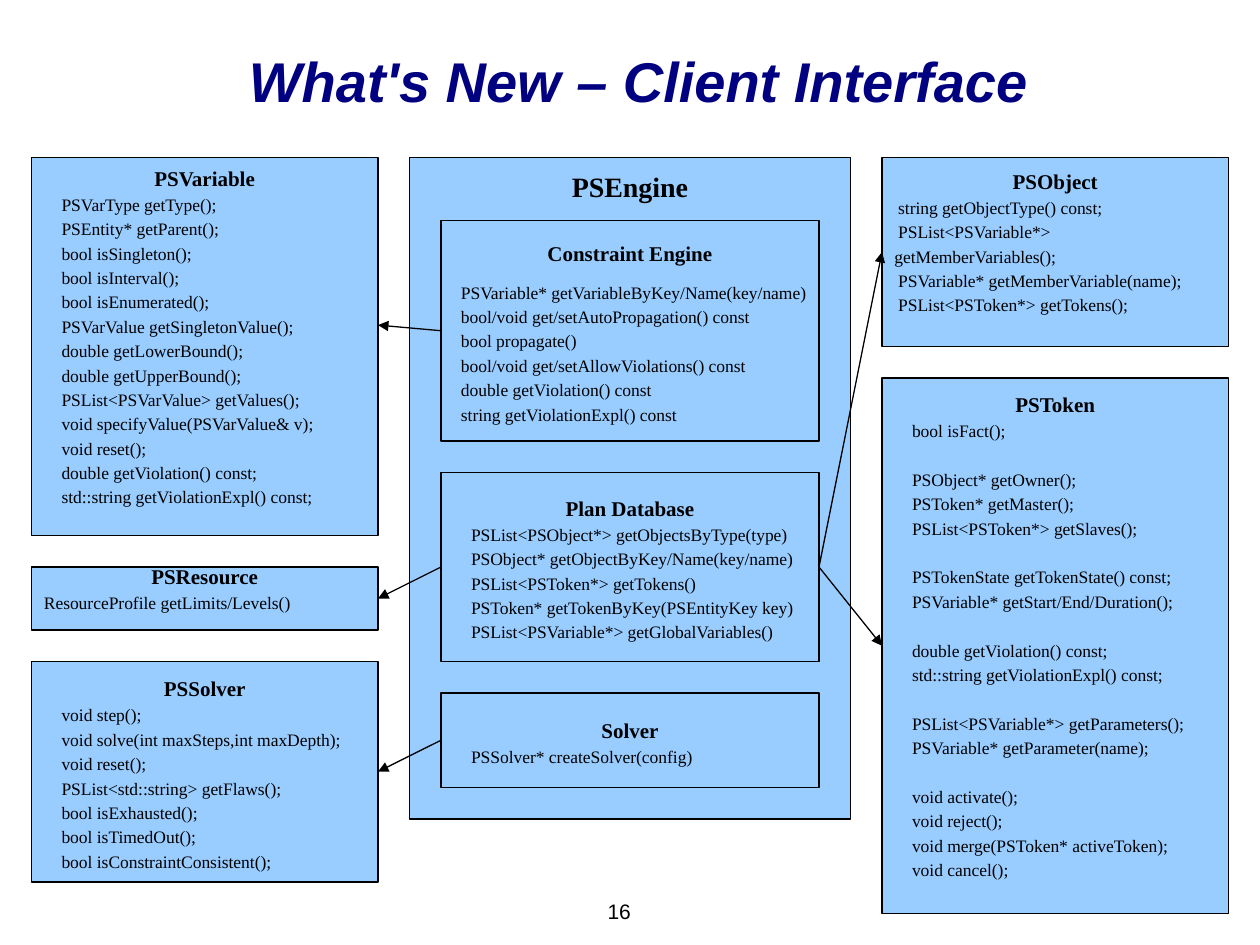
from dataclasses import dataclass

from lxml.etree import SubElement
from pptx import Presentation
from pptx.dml.color import RGBColor
from pptx.enum.shapes import MSO_CONNECTOR, MSO_SHAPE
from pptx.enum.text import MSO_ANCHOR, PP_ALIGN
from pptx.oxml.ns import qn
from pptx.shapes.autoshape import Shape
from pptx.slide import Slide
from pptx.util import Pt

EMU_PER_PX = 9144  # 100 px to the inch
COLORS = {"title": "000080", "box": "99CCFF", "ink": "000000"}
SERIF, SANS = "Times New Roman", "Arial"
LINE_SPACING = 1.16
BLANK_LINE = Pt(14)
LEFT, RIGHT = 1, 3  # connection sites


def px(length: int) -> int:
    return length * EMU_PER_PX


def rgb(name: str) -> RGBColor:
    return RGBColor.from_string(COLORS[name])


@dataclass(frozen=True)
class Panel:
    """A box with a heading and methods; an empty method opens a gap."""
    heading: str
    left: int
    top: int
    width: int
    height: int
    methods: tuple[str, ...] = ()
    indent: int = 14
    bottom_space: int = 5
    heading_gap: int = 0
    heading_size: int = 12
    anchor: MSO_ANCHOR = MSO_ANCHOR.MIDDLE


@dataclass(frozen=True)
class Arrow:
    """Runs between side middles, or to end_point where that is given."""
    start: str
    start_site: int
    end: str = ""
    end_site: int = RIGHT
    end_point: tuple[int, int] = (0, 0)


PANELS = (
    Panel("PSEngine", 325, 125, 350, 525, heading_size=16, anchor=MSO_ANCHOR.TOP),
    Panel("Constraint Engine", 350, 175, 300, 175, (
        "PSVariable* getVariableByKey/Name(key/name)",
        "bool/void get/setAutoPropagation() const",
        "bool propagate()",
        "bool/void get/setAllowViolations() const",
        "double getViolation() const",
        "string getViolationExpl() const",
    ), indent=6, heading_gap=7),
    Panel("Plan Database", 350, 375, 300, 150, (
        "PSList<PSObject*> getObjectsByType(type)",
        "PSObject* getObjectByKey/Name(key/name)",
        "PSList<PSToken*> getTokens()",
        "PSToken* getTokenByKey(PSEntityKey key)",
        "PSList<PSVariable*> getGlobalVariables()",
    )),
    Panel("Solver", 350, 550, 300, 75, ("PSSolver* createSolver(config)",)),
    Panel("PSVariable", 25, 125, 275, 300, (
        "PSVarType getType();",
        "PSEntity* getParent();",
        "bool isSingleton();",
        "bool isInterval();",
        "bool isEnumerated();",
        "PSVarValue getSingletonValue();",
        "double getLowerBound();",
        "double getUpperBound();",
        "PSList<PSVarValue> getValues();",
        "void specifyValue(PSVarValue& v);",
        "void reset();",
        "double getViolation() const;",
        "std::string getViolationExpl() const;",
    ), bottom_space=24),
    Panel("PSObject", 700, 125, 275, 150, (
        "string getObjectType() const;",
        "PSList<PSVariable*> getMemberVariables();",
        "PSVariable* getMemberVariable(name);",
        "PSList<PSToken*> getTokens();",
    ), indent=3, bottom_space=24),
    Panel("PSToken", 700, 300, 275, 425, (
        "bool isFact();",
        "",
        "PSObject* getOwner();",
        "PSToken* getMaster();",
        "PSList<PSToken*> getSlaves();",
        "",
        "PSTokenState getTokenState() const;",
        "PSVariable* getStart/End/Duration();",
        "",
        "double getViolation() const;",
        "std::string getViolationExpl() const;",
        "",
        "PSList<PSVariable*> getParameters();",
        "PSVariable* getParameter(name);",
        "",
        "void activate();",
        "void reject();",
        "void merge(PSToken* activeToken);",
        "void cancel();",
    ), bottom_space=24),
    Panel("PSResource", 25, 450, 275, 50, ("ResourceProfile getLimits/Levels()",),
          indent=0, bottom_space=24),
    Panel("PSSolver", 25, 525, 275, 175, (
        "void step();",
        "void solve(int maxSteps,int maxDepth);",
        "void reset();",
        "PSList<std::string> getFlaws();",
        "bool isExhausted();",
        "bool isTimedOut();",
        "bool isConstraintConsistent();",
    )),
)

ARROWS = (
    Arrow("Plan Database", RIGHT, "PSObject", LEFT),
    Arrow("Plan Database", RIGHT, "PSToken", LEFT),
    Arrow("Constraint Engine", LEFT, end_point=(300, 258)),
    Arrow("Solver", LEFT, "PSSolver"),
    Arrow("Plan Database", LEFT, "PSResource"),
)


def format_paragraph(paragraph, name: str, size: int, color: str = "ink",
                     bold: bool = False, align: PP_ALIGN = PP_ALIGN.CENTER) -> None:
    paragraph.alignment = align
    font = paragraph.font
    font.name, font.size, font.bold = name, Pt(size), bold
    font.color.rgb = rgb(color)


def add_title(slide: Slide, text: str) -> None:
    title = slide.shapes.title
    title.left, title.top, title.width, title.height = map(px, (115, 6, 784, 102))
    frame = title.text_frame
    frame.text = text
    frame.vertical_anchor = MSO_ANCHOR.MIDDLE
    frame.margin_left = frame.margin_top = frame.margin_right = frame.margin_bottom = 0
    paragraph = frame.paragraphs[0]
    format_paragraph(paragraph, SANS, 32, "title", bold=True)
    paragraph.font.italic = True
    paragraph.line_spacing = 1.24


def add_page_number(slide: Slide, text: str) -> None:
    box = slide.shapes.add_textbox(*map(px, (450, 708, 83, 50)))
    box.text_frame.word_wrap = True
    box.text_frame.text = text
    format_paragraph(box.text_frame.paragraphs[0], SANS, 12)


def add_panel(slide: Slide, panel: Panel) -> Shape:
    shape = slide.shapes.add_shape(
        MSO_SHAPE.RECTANGLE, *map(px, (panel.left, panel.top, panel.width, panel.height)))
    shape.shadow.inherit = False
    shape.fill.solid()
    shape.fill.fore_color.rgb = rgb("box")
    shape.line.color.rgb = rgb("ink")
    shape.line.width = Pt(0.75)
    frame = shape.text_frame
    frame.word_wrap = True
    frame.vertical_anchor = panel.anchor
    frame.margin_bottom = px(panel.bottom_space)

    heading = frame.paragraphs[0]
    heading.text = panel.heading
    heading.line_spacing = LINE_SPACING
    heading.space_after = Pt(panel.heading_gap)
    format_paragraph(heading, SERIF, panel.heading_size, bold=True)
    gap = Pt(0)
    for method in panel.methods:
        if not method:
            gap = BLANK_LINE
            continue
        paragraph = frame.add_paragraph()
        paragraph.text = method
        paragraph.line_spacing = LINE_SPACING
        paragraph.space_before = gap
        format_paragraph(paragraph, SERIF, 10, align=PP_ALIGN.LEFT)
        paragraph._p.get_or_add_pPr().set("indent", str(px(panel.indent)))
        gap = Pt(0)
    return shape


def add_arrow(slide: Slide, arrow: Arrow, boxes: dict[str, Shape]) -> None:
    connector = slide.shapes.add_connector(
        MSO_CONNECTOR.STRAIGHT, 0, 0, *map(px, arrow.end_point))
    connector.begin_connect(boxes[arrow.start], arrow.start_site)
    if arrow.end:
        connector.end_connect(boxes[arrow.end], arrow.end_site)
    connector.line.color.rgb = rgb("ink")
    connector.line.width = Pt(0.75)
    SubElement(connector.line._get_or_add_ln(), qn("a:tailEnd"), type="triangle")
    SubElement(connector._element.spPr, qn("a:effectLst"))


def main() -> None:
    presentation = Presentation()
    presentation.slide_width, presentation.slide_height = px(1000), px(750)
    slide = presentation.slides.add_slide(presentation.slide_layouts[5])
    add_page_number(slide, "16")
    add_title(slide, "What's New – Client Interface")
    boxes = {panel.heading: add_panel(slide, panel) for panel in PANELS}
    for arrow in ARROWS:
        add_arrow(slide, arrow, boxes)
    presentation.save("out.pptx")


if __name__ == "__main__":
    main()
